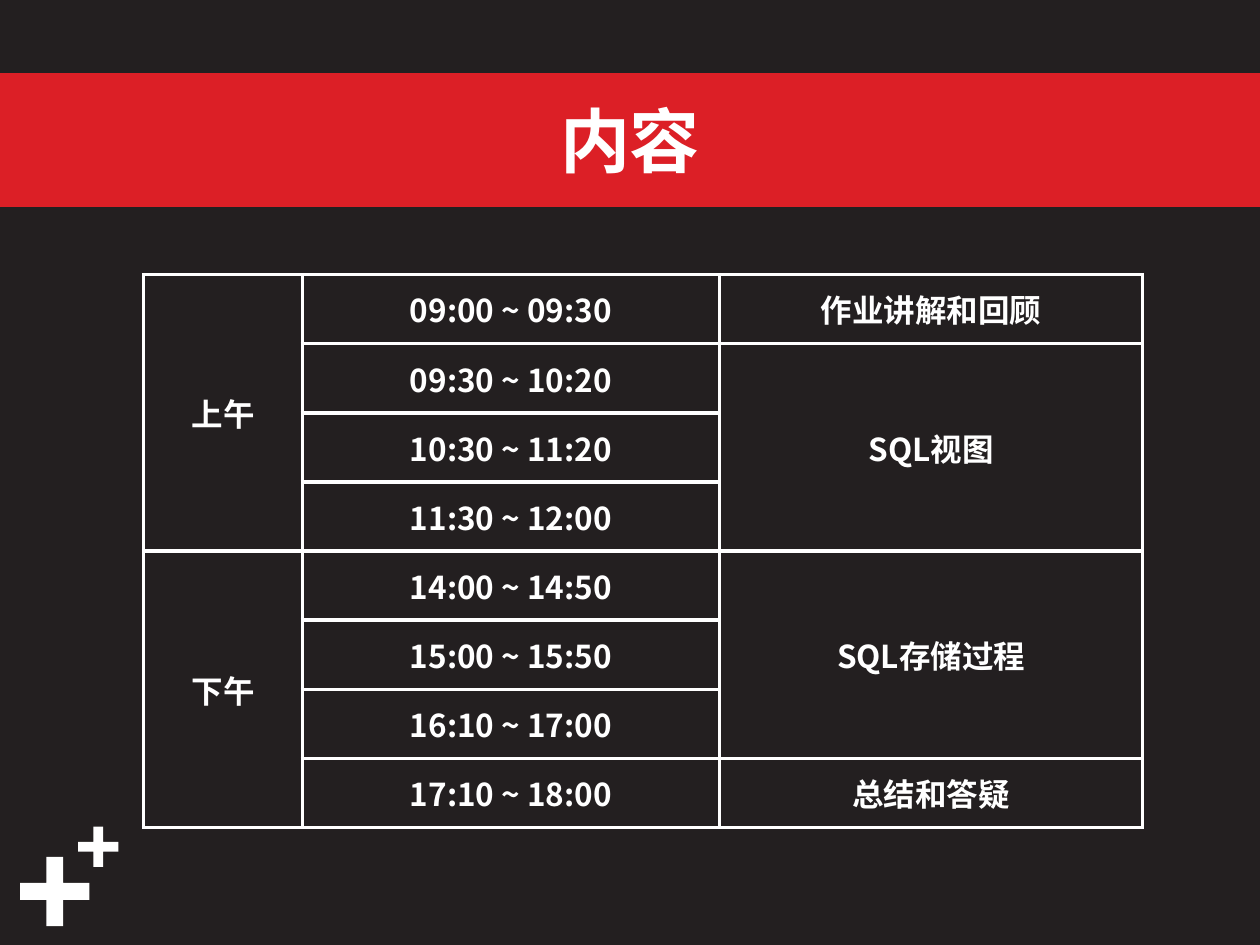
"""Build the course agenda slide with its title band and timetable."""
from dataclasses import dataclass

from lxml.etree import SubElement
from pptx import Presentation
from pptx.dml.color import RGBColor
from pptx.enum.shapes import MSO_SHAPE as Shape
from pptx.enum.text import MSO_ANCHOR as Anchor, MSO_AUTO_SIZE as AutoSize, PP_ALIGN as Align
from pptx.oxml import parse_xml
from pptx.oxml.ns import nsdecls, qn
from pptx.util import Inches, Pt


@dataclass(frozen=True)
class Theme:
    background: RGBColor = RGBColor.from_string("231F20")
    accent: RGBColor = RGBColor.from_string("DC1F26")
    light: RGBColor = RGBColor.from_string("FFFFFF")
    font: str = "Noto Sans CJK SC"
    title_size: int = 40
    table_size: int = 18
    band_line: int = 3
    table_line: float = 2.25


theme = Theme()


def write(frame, text, size, color=theme.light, bold=True, align=Align.CENTER):
    paragraph = frame.paragraphs[0]
    paragraph.alignment = align
    run = paragraph.add_run()
    run.text = text
    font = run.font
    font.size, font.bold, font.name = Pt(size), bold, theme.font
    font.color.rgb = color
    SubElement(font._element, qn("a:ea"), typeface=theme.font)


def outline_cell(cell):
    properties = cell._tc.get_or_add_tcPr()
    for index, side in enumerate(("lnL", "lnR", "lnT", "lnB")):
        properties.insert(index, parse_xml(
            f'<a:{side} {nsdecls("a")} w="{Pt(theme.table_line)}"><a:solidFill>'
            f'<a:srgbClr val="{theme.light}"/></a:solidFill></a:{side}>'))


presentation = Presentation()
presentation.slide_width, presentation.slide_height = Inches(10), Inches(7.5)
slide = presentation.slides.add_slide(presentation.slide_layouts[5])
slide.background.fill.solid()
slide.background.fill.fore_color.rgb = theme.background

for left, top, size in ((0.16, 6.8, 0.55), (0.62, 6.56, 0.32)):
    plus = slide.shapes.add_shape(
        Shape.CROSS, Inches(left), Inches(top), Inches(size), Inches(size))
    plus.adjustments[0] = 0.378
    plus.shadow.inherit = False
    plus.fill.solid()
    plus.fill.fore_color.rgb = theme.light
    plus.line.fill.background()

title = slide.shapes.title
title.left, title.top = Inches(0), Inches(0.6)
title.width, title.height = Inches(10), Inches(1.02)
title.fill.solid()
title.fill.fore_color.rgb = theme.accent
title.line.color.rgb = theme.accent
title.line.width = Pt(theme.band_line)
title.text_frame.auto_size = AutoSize.NONE
title.text_frame.vertical_anchor = Anchor.MIDDLE
write(title.text_frame, "内容", theme.title_size)

times = ("09:00 ~ 09:30", "09:30 ~ 10:20", "10:30 ~ 11:20", "11:30 ~ 12:00",
         "14:00 ~ 14:50", "15:00 ~ 15:50", "16:10 ~ 17:00", "17:10 ~ 18:00")
entries = [(row, 1, 1, time) for row, time in enumerate(times)]
entries += [
    (0, 0, 4, "上午"),
    (4, 0, 4, "下午"),
    (0, 2, 1, "作业讲解和回顾"),
    (1, 2, 3, "SQL视图"),
    (4, 2, 3, "SQL存储过程"),
    (7, 2, 1, "总结和答疑"),
]

table = slide.shapes.add_table(
    len(times), 3, Inches(1.14), Inches(2.18), Inches(7.93), Inches(4.39)).table
table.first_row = table.horz_banding = False
for column, width in zip(table.columns, (1.26, 3.31, 3.36)):
    column.width = Inches(width)
for cell in table.iter_cells():
    cell.fill.background()
    outline_cell(cell)
for row, column, span, text in entries:
    cell = table.cell(row, column)
    if span > 1:
        cell.merge(table.cell(row + span - 1, column))
    cell.vertical_anchor = Anchor.MIDDLE
    write(cell.text_frame, text, theme.table_size)

presentation.save("out.pptx")
